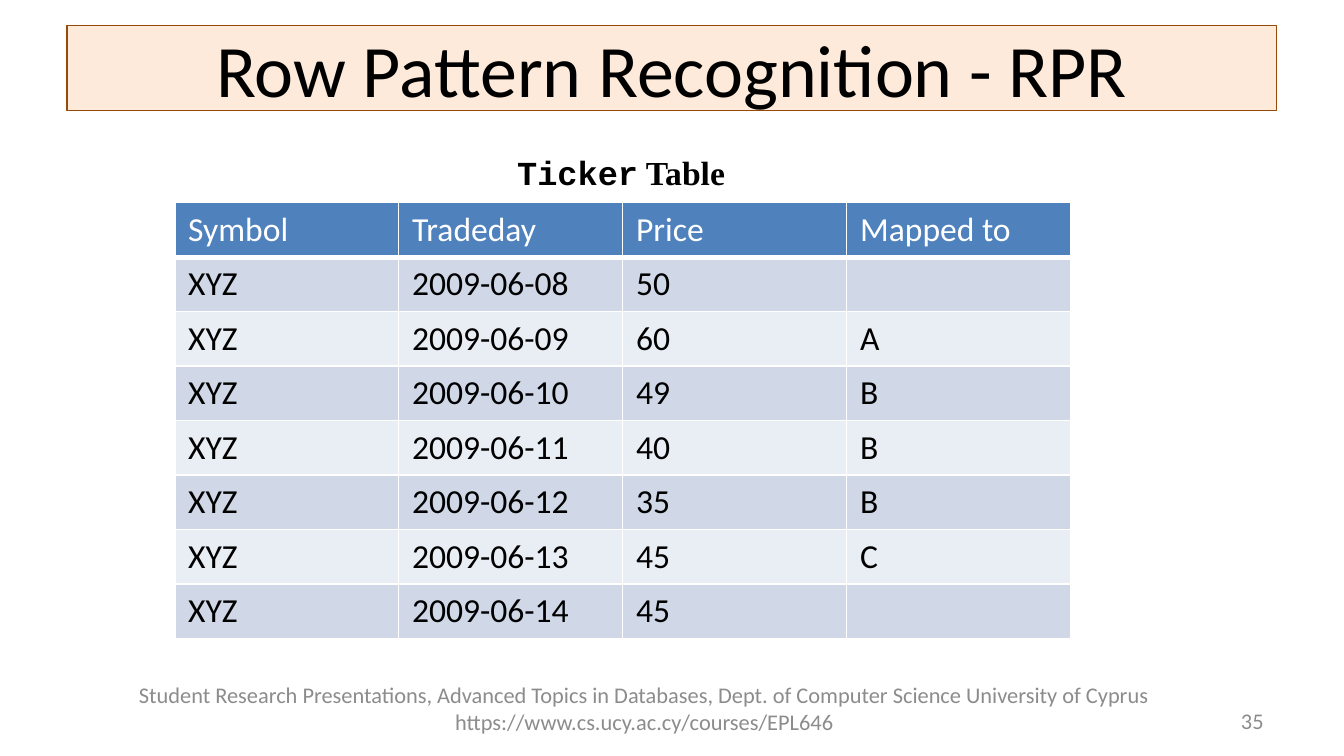
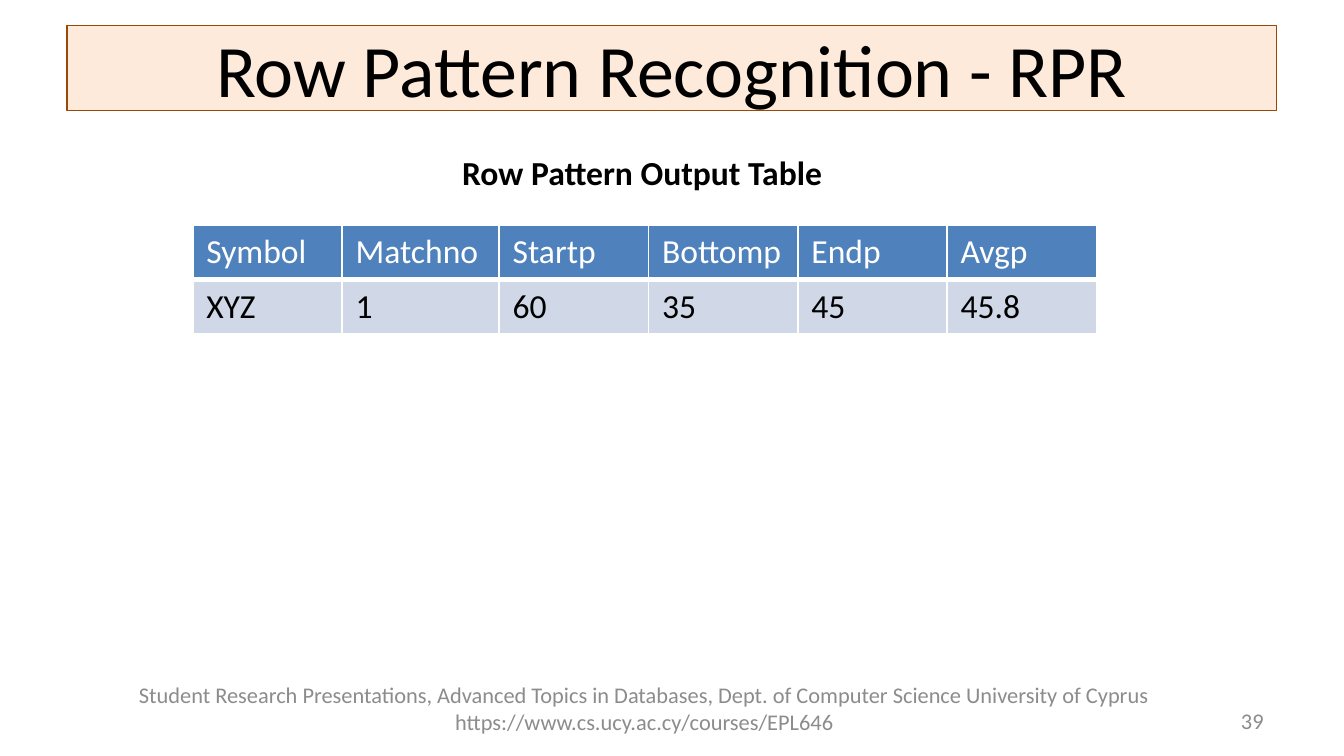
from lxml import etree
from pptx import Presentation
from pptx.dml.color import RGBColor
from pptx.enum.shapes import MSO_SHAPE
from pptx.enum.text import MSO_ANCHOR, MSO_AUTO_SIZE, PP_ALIGN
from pptx.oxml.ns import qn
from pptx.util import Pt

RECTANGLE = MSO_SHAPE.RECTANGLE
MIDDLE = MSO_ANCHOR.MIDDLE
LEFT, CENTER, RIGHT = PP_ALIGN.LEFT, PP_ALIGN.CENTER, PP_ALIGN.RIGHT
FIT_SHAPE = MSO_AUTO_SIZE.SHAPE_TO_FIT_TEXT

COLORS = {
    "text": "000000",
    "white": "FFFFFF",
    "footer": "8C8C8C",
    "title_fill": "FDEADA",
    "title_line": "984807",
    "header": "4F81BD",
    "odd_row": "D0D8E8",
    "even_row": "E9EDF4",
}
BODY_FONT = "Calibri"
TITLE = "Row Pattern Recognition - RPR"
FOOTER = ("Student Research Presentations, Advanced Topics in Databases, "
          "Dept. of Computer Science University of Cyprus "
          "https://www.cs.ucy.ac.cy/courses/EPL646")
ROW_HEIGHT = 29.2
CAPTION_TOP = 77.6

TICKER_ROWS = [("Symbol", "Tradeday", "Price", "Mapped to")] + [
    ("XYZ", f"2009-06-{day:02}", price, mapped)
    for day, (price, mapped) in enumerate(
        [("50", ""), ("60", "A"), ("49", "B"), ("40", "B"),
         ("35", "B"), ("45", "C"), ("45", "")], start=8)
]
OUTPUT_ROWS = [
    ("Symbol", "Matchno", "Startp", "Bottomp", "Endp", "Avgp"),
    ("XYZ", "1", "60", "35", "45", "45.8"),
]


def color(name):
    return RGBColor.from_string(COLORS[name])


def style(paragraph, size, color_name, align=LEFT, bold=False):
    paragraph.alignment = align
    font = paragraph.font
    font.name, font.size, font.bold = BODY_FONT, Pt(size), bold
    font.color.rgb = color(color_name)


def add_title(slide):
    band = slide.shapes.add_shape(RECTANGLE, Pt(36), Pt(13.6), Pt(648), Pt(45.8))
    band.shadow.inherit = False
    band.fill.solid()
    band.fill.fore_color.rgb = color("title_fill")
    band.line.color.rgb = color("title_line")
    band.line.width = Pt(0.75)
    band.text_frame.vertical_anchor = MIDDLE
    band.text_frame.text = TITLE
    style(band.text_frame.paragraphs[0], 39.6, "text", CENTER)


def add_footer_text(slide, text, left, top, width, height, align):
    box = slide.shapes.add_textbox(Pt(left), Pt(top), Pt(width), Pt(height))
    frame = box.text_frame
    frame.word_wrap = True
    frame.vertical_anchor = MIDDLE
    frame.text = text
    style(frame.paragraphs[0], 12, "footer", align)


def add_caption(slide, left, width, parts):
    """Add a bold table caption; parts are (text, font name) pairs."""
    box = slide.shapes.add_textbox(Pt(left), Pt(CAPTION_TOP), Pt(width), Pt(29))
    frame = box.text_frame
    frame.word_wrap = False
    frame.auto_size = FIT_SHAPE
    paragraph = frame.paragraphs[0]
    style(paragraph, 18, "text", bold=True)
    for text, font_name in parts:
        run = paragraph.add_run()
        run.text = text
        run.font.name = font_name


def add_borders(cell, top, bottom):
    properties = cell._tc.get_or_add_tcPr()
    for side, width in (("L", 1), ("R", 1), ("T", top), ("B", bottom)):
        line = etree.SubElement(properties, qn(f"a:ln{side}"), w=str(Pt(width)))
        fill = etree.SubElement(line, qn("a:solidFill"))
        etree.SubElement(fill, qn("a:srgbClr"), val=COLORS["white"])


def add_table(slide, left, top, widths, rows):
    frame = slide.shapes.add_table(
        len(rows), len(widths), Pt(left), Pt(top),
        Pt(sum(widths)), Pt(ROW_HEIGHT * len(rows)))
    table = frame.table
    for column, width in zip(table.columns, widths):
        column.width = Pt(width)
    for row_index, values in enumerate(rows):
        table.rows[row_index].height = Pt(ROW_HEIGHT)
        is_header = row_index == 0
        fill_name = "header" if is_header else ("even_row", "odd_row")[row_index % 2]
        for column_index, value in enumerate(values):
            cell = table.cell(row_index, column_index)
            # The thick rule lies between the header and the first data row
            add_borders(cell, top=3 if row_index == 1 else 1,
                        bottom=3 if is_header else 1)
            cell.fill.solid()
            cell.fill.fore_color.rgb = color(fill_name)
            cell.text = value
            style(cell.text_frame.paragraphs[0], 18,
                  "white" if is_header else "text")


def add_slide(presentation, number):
    """Add a blank slide with the shared title, footer and page number."""
    slide = presentation.slides.add_slide(presentation.slide_layouts[6])
    add_title(slide)
    add_footer_text(slide, FOOTER, 36, 361.6, 618.5, 35.2, CENTER)
    add_footer_text(slide, number, 516, 375.4, 168, 21.4, RIGHT)
    return slide


def main():
    presentation = Presentation()
    presentation.slide_width, presentation.slide_height = Pt(720), Pt(405)

    # Input table
    slide = add_slide(presentation, "35")
    add_table(slide, 93.6, 108.6, [120] * 4, TICKER_ROWS)
    add_caption(slide, 270, 126.7,
                [("Ticker", "Courier New"), (" Table", "Times New Roman")])

    # Output table
    slide = add_slide(presentation, "39")
    add_caption(slide, 240.5, 209.5, [("Row Pattern Output Table", BODY_FONT)])
    add_table(slide, 103.3, 120.5, [80, 84.2] + [80] * 4, OUTPUT_ROWS)

    presentation.save("out.pptx")


if __name__ == "__main__":
    main()
